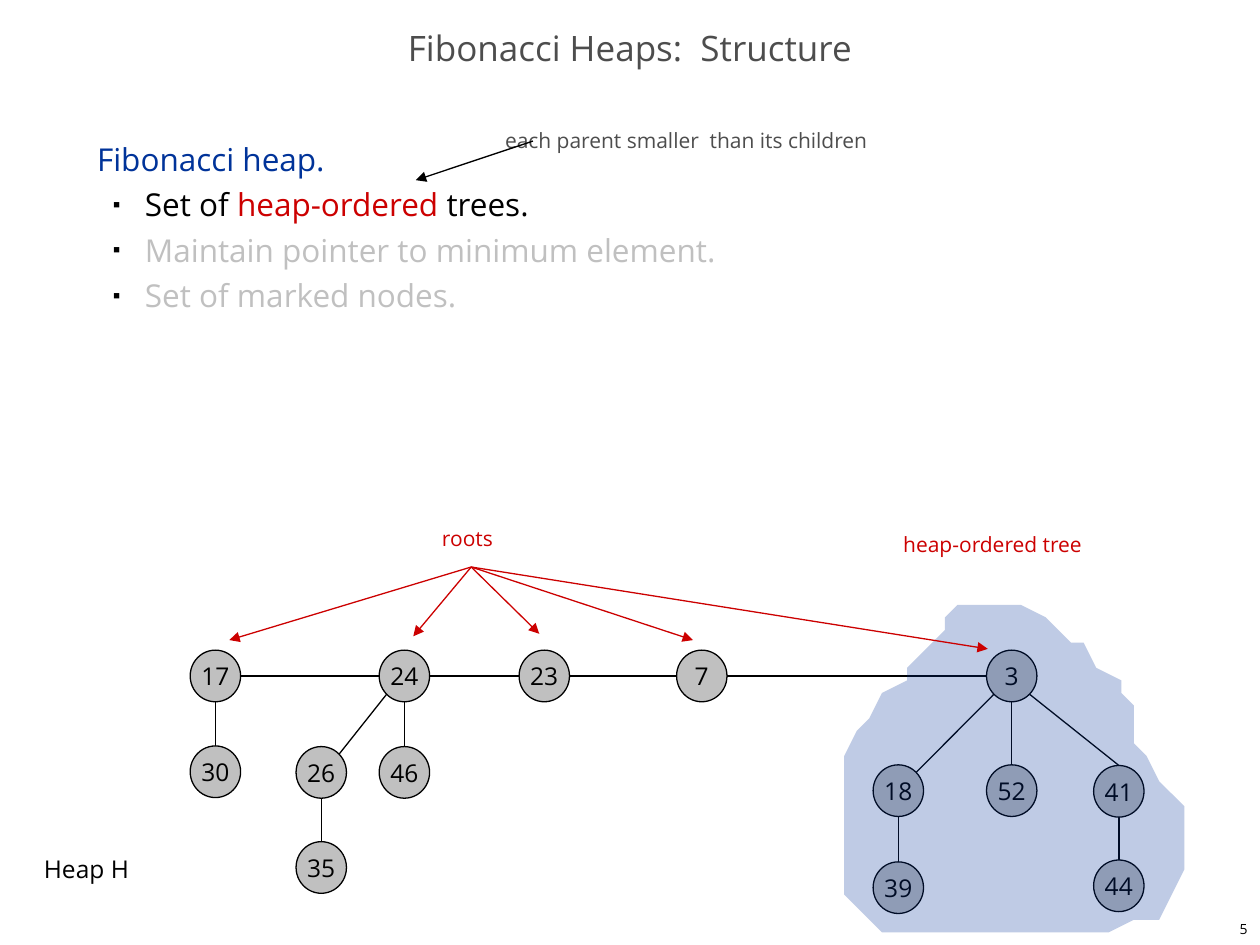
from dataclasses import dataclass
from itertools import pairwise
from math import sqrt
from typing import Optional

from lxml.etree import SubElement
from pptx import Presentation
from pptx.dml.color import RGBColor
from pptx.enum.shapes import MSO_CONNECTOR, MSO_SHAPE
from pptx.enum.text import MSO_ANCHOR, MSO_AUTO_SIZE, PP_ALIGN
from pptx.oxml.ns import qn
from pptx.util import Inches, Length, Pt

FONT = "Open Sans"
BLACK, SLATE, GREY = "000000", "4D4D4D", "C0C0C0"
RED, BLUE = "CC0000", "003399"
NODE_WIDTH, NODE_HEIGHT = 4, 4.1
DIAGONAL = 1 / sqrt(2)
Point = tuple[float, float]


def cells(count: float) -> Length:
    """The slide is a grid of 100 columns by 75 rows."""
    return Inches(count / 10)


@dataclass
class Node:
    key: str
    column: float  # centre
    row: float  # centre
    parent: Optional["Node"] = None

    def rim(self, across: float, down: float) -> Point:
        return (self.column + across * NODE_WIDTH / 2,
                self.row + down * NODE_HEIGHT / 2)


@dataclass
class Label:
    text: str
    column: float
    row: float
    width: float
    height: float = 3
    size: float = 12
    color: str = RED
    align: PP_ALIGN = PP_ALIGN.LEFT
    anchor: MSO_ANCHOR = MSO_ANCHOR.TOP


def rgb(color: str) -> RGBColor:
    return RGBColor.from_string(color)


def add_span(para, text: str, size: float, color: str) -> None:
    span = para.add_run()
    span.text = text
    span.font.name = FONT
    span.font.size = Pt(size)
    span.font.color.rgb = rgb(color)


def add_label(page, label: Label) -> None:
    box = page.shapes.add_textbox(cells(label.column), cells(label.row),
                                  cells(label.width), cells(label.height))
    box.text_frame.word_wrap = True
    box.text_frame.vertical_anchor = label.anchor
    para = box.text_frame.paragraphs[0]
    para.alignment = label.align
    add_span(para, label.text, label.size, label.color)


def add_line(page, start: Point, end: Point, color: str = BLACK,
             arrow: bool = False) -> None:
    line = page.shapes.add_connector(MSO_CONNECTOR.STRAIGHT,
                                     *map(cells, start + end))
    line.line.color.rgb = rgb(color)
    line.line.width = Pt(0.75)
    if arrow:
        SubElement(line.line._get_or_add_ln(), qn("a:tailEnd"), type="triangle")
    SubElement(line._element.spPr, qn("a:effectLst"))


def add_edge(page, node: Node) -> None:
    """Join a node to its parent, straight up or on the slant."""
    parent = node.parent
    if node.column == parent.column:
        start, end = node.rim(0, -1), parent.rim(0, 1)
    elif node.column < parent.column:
        start = node.rim(DIAGONAL, -DIAGONAL)
        end = parent.rim(-DIAGONAL, DIAGONAL)
    else:
        start, end = node.rim(0, -1), parent.rim(DIAGONAL, DIAGONAL)
    add_line(page, start, end)


def add_node(page, node: Node) -> None:
    left, top = node.column - NODE_WIDTH / 2, node.row - NODE_HEIGHT / 2
    circle = page.shapes.add_shape(MSO_SHAPE.OVAL, cells(left), cells(top),
                                   cells(NODE_WIDTH), cells(NODE_HEIGHT))
    circle.shadow.inherit = False
    circle.fill.solid()
    circle.fill.fore_color.rgb = rgb(GREY)
    circle.line.color.rgb = rgb(BLACK)
    circle.line.width = Pt(0.75)
    circle.text_frame.word_wrap = False
    circle.text_frame.vertical_anchor = MSO_ANCHOR.MIDDLE
    para = circle.text_frame.paragraphs[0]
    para.alignment = PP_ALIGN.CENTER
    add_span(para, node.key, 14, BLACK)


def add_region(page, outline: list[Point]) -> None:
    builder = page.shapes.build_freeform(*outline[0], scale=cells(1))
    builder.add_line_segments(outline[1:], close=True)
    region = builder.convert_to_shape()
    region.shadow.inherit = False
    region.line.fill.background()
    region.fill.solid()
    region.fill.fore_color.rgb = rgb(BLUE)
    tint = region._element.spPr.find(".//" + qn("a:srgbClr"))
    SubElement(tint, qn("a:alpha"), val="25000")


def place(shape, left: float, top: float, width: float, height: float) -> None:
    shape.left, shape.top = cells(left), cells(top)
    shape.width, shape.height = cells(width), cells(height)
    shape.text_frame.auto_size = MSO_AUTO_SIZE.NONE


def set_bullet(para, bulleted: bool) -> None:
    props = para._p.get_or_add_pPr()
    props.set("marL", str(Inches(0.38) if bulleted else 0))
    props.set("indent", str(Inches(-0.25) if bulleted else 0))
    if bulleted:
        SubElement(SubElement(props, qn("a:buClr")), qn("a:srgbClr"), val=BLACK)
        SubElement(props, qn("a:buSzPct"), val="35000")
        SubElement(props, qn("a:buChar"), char="■")
    else:
        SubElement(props, qn("a:buNone"))


# Heap: roots from left to right, then their descendants
n17, n24, n23, n7, n3 = ROOTS = [
    Node(key, column, 53.65) for key, column in
    [("17", 17.1), ("24", 32.1), ("23", 43.2), ("7", 55.7), ("3", 80.3)]]
n26 = Node("26", 25.5, 61.3, n24)
n18 = Node("18", 71.3, 62.75, n3)
n41 = Node("41", 88.8, 62.8, n3)
CHILDREN = [
    Node("30", 17.1, 61.25, n17), n26, Node("46", 32.1, 61.3, n24),
    Node("35", 25.5, 68.85, n26), n18, Node("52", 80.3, 62.75, n3), n41,
    Node("39", 71.3, 70.45, n18), Node("44", 88.8, 70.3, n41)]

REGION = [
    (75.7, 47.8), (78.5, 48.1), (81.2, 48.5), (82.6, 49), (83.8, 49.7),
    (84.9, 50.6), (86.1, 51.3), (87.4, 53), (88.6, 54.1), (89.3, 54.9),
    (89.6, 56.2), (89.8, 57.6), (90.3, 58.9), (91.3, 60.3), (92.4, 61.8),
    (92.9, 63.1), (93.6, 64.4), (94.3, 66.1), (94.5, 66.8), (94.2, 67.8),
    (93.5, 68.8), (93.2, 70.6), (92.6, 71.2), (91.5, 72.8), (91.1, 73.3),
    (90.1, 73.4), (87.6, 73.6), (84.2, 73.9), (80.6, 73.9), (79.1, 74.2),
    (78.4, 74.3), (76.8, 74.2), (72.7, 74), (70.5, 73.6), (69.4, 73.4),
    (67.8, 72.4), (67.4, 71.4), (67.1, 67.5), (67, 62.8), (67.2, 60.1),
    (67.9, 57.7), (68.6, 56.9), (70.3, 54.9), (71.5, 53.9), (72.1, 53.4),
    (73, 52.4), (73.8, 51.4), (74.8, 49.6), (75.3, 49.1)]

ROOT_ARROW_TIPS = [(18.2, 50.8), (32.8, 50.5), (42.8, 50.3), (55, 50.8),
                   (78.4, 51.5)]

LIST = [
    [("Fibonacci heap.", BLUE)],
    [("Set of ", BLACK), ("heap-ordered", RED), (" trees.", BLACK)],
    [("Maintain pointer to minimum element.", GREY)],
    [("Set of marked nodes.", GREY)]]

LABELS = [
    Label("Heap H", 2.5, 67.3, 9.1, 3.3, 14, BLACK),
    Label("roots", 34.1, 41.2, 7),
    Label("heap-ordered tree", 70.7, 41.7, 19.1),
    Label("each parent smaller  than its children", 39.1, 9.6, 40.1,
          color=SLATE),
    Label("5", 79.2, 72.5, 20.8, 2.5, 8, BLACK, PP_ALIGN.RIGHT,
          MSO_ANCHOR.MIDDLE)]


def main() -> None:
    deck = Presentation()
    deck.slide_width, deck.slide_height = cells(100), cells(75)
    page = deck.slides.add_slide(deck.slide_layouts[1])

    # Title and list
    title, body = page.placeholders
    place(title, 0, 1.7, 100, 5)
    title.text_frame.vertical_anchor = MSO_ANCHOR.MIDDLE
    heading = title.text_frame.paragraphs[0]
    heading.alignment = PP_ALIGN.CENTER
    heading.line_spacing = 0.7
    add_span(heading, "Fibonacci Heaps:  Structure", 20, SLATE)
    place(body, 6.7, 10, 85.8, 59.2)
    frame = body.text_frame
    for index, spans in enumerate(LIST):
        para = frame.add_paragraph() if index else frame.paragraphs[0]
        para.level = min(index, 1)
        para.line_spacing = Pt(26)
        para.space_before = Pt(0)
        set_bullet(para, index > 0)
        for text, color in spans:
            add_span(para, text, 18, color)

    # Heap, with one tree highlighted
    for left, right in pairwise(ROOTS):
        add_line(page, left.rim(1, 0), right.rim(-1, 0))
    for child in CHILDREN:
        add_edge(page, child)
    for node in ROOTS + CHILDREN:
        add_node(page, node)
    add_region(page, REGION)

    # Labels and their arrows
    for label in LABELS:
        add_label(page, label)
    for tip in ROOT_ARROW_TIPS:
        add_line(page, (37.4, 45), tip, RED, arrow=True)
    add_line(page, (42.3, 11.2), (33, 14.3), arrow=True)

    deck.save("out.pptx")


if __name__ == "__main__":
    main()
